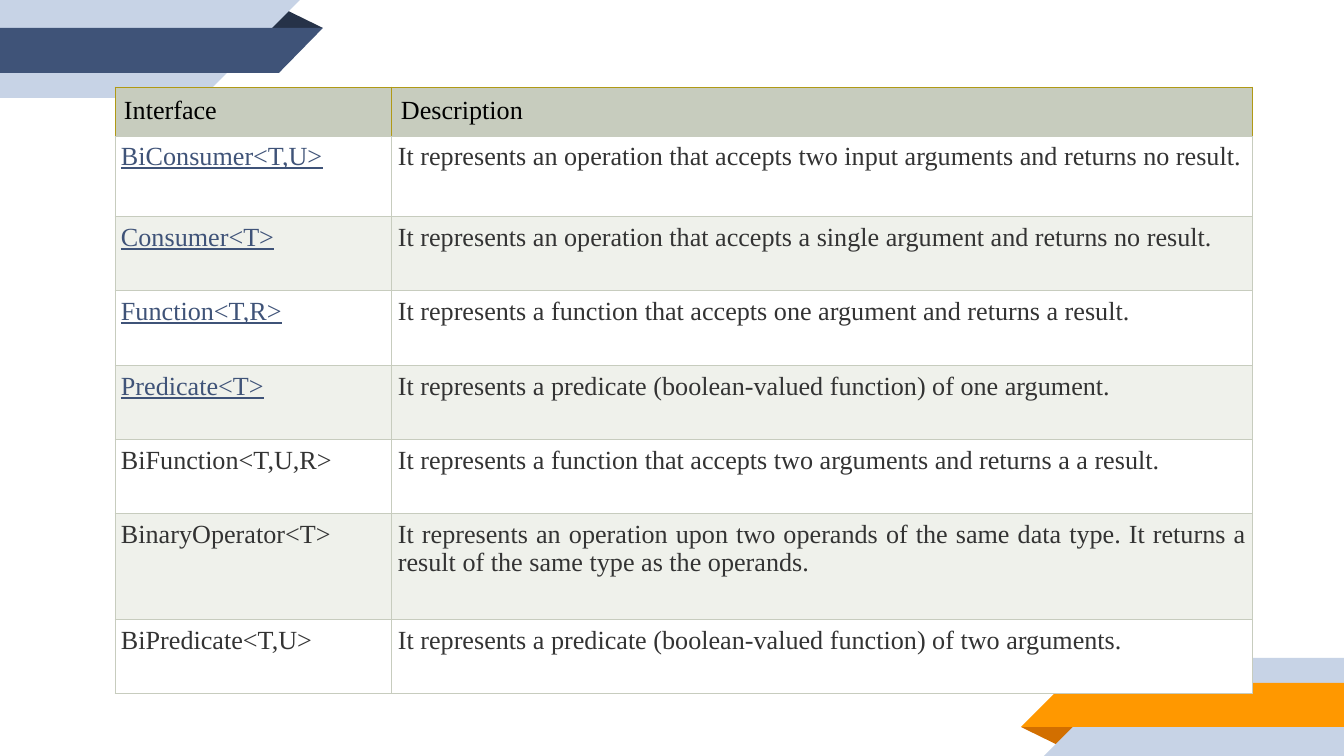
from lxml.etree import SubElement as Sub
from pptx import Presentation
from pptx.dml.color import RGBColor as RGB
from pptx.enum.shapes import MSO_SHAPE as Kind
from pptx.enum.text import PP_ALIGN as Align
from pptx.oxml.ns import qn
from pptx.util import Pt

PX = 914400 / 134.4
HUE = {
    "navy": "3F5378", "dark": "263248", "pale": "C7D3E6",
    "orange": "FF9800", "rust": "D26F00", "gold": "B09915",
    "sage": "C7CCBE", "tint": "EFF1EB", "white": "FFFFFF",
    "black": "000000", "gray": "333333",
}


def px(*nums):
    return [round(n * PX) for n in nums]


def edge(cell, side, hue):
    line = Sub(cell._tc.get_or_add_tcPr(), qn("a:ln" + side), w=str(Pt(0.6)))
    fill = Sub(line, qn("a:solidFill"))
    Sub(fill, qn("a:srgbClr"), val=HUE[hue])


deck = Presentation()
deck.slide_width, deck.slide_height = px(1344, 756)
slide = deck.slides.add_slide(deck.slide_layouts[6])

TRI, RECT, WEDGE = Kind.ISOSCELES_TRIANGLE, Kind.RECTANGLE, Kind.RIGHT_TRIANGLE
bands = [
    (TRI, 266, 9, 57, 19, "dark", None),
    (RECT, 0, 0, 202, 98, "pale", None),
    (WEDGE, 202, 0, 98, 98, "pale", "flipV"),
    (RECT, 0, 28, 279, 45, "navy", None),
    (WEDGE, 279, 28, 44, 45, "navy", "flipV"),
    (TRI, 1021, 727, 57, 19, "rust", "rot"),
    (RECT, 1142, 658, 202, 98, "pale", None),
    (WEDGE, 1044, 658, 98, 98, "pale", "flipH"),
    (RECT, 1065, 683, 279, 44, "orange", None),
    (WEDGE, 1021, 683, 44, 44, "orange", "flipH"),
]
for kind, x, y, w, h, hue, turn in bands:
    band = slide.shapes.add_shape(kind, *px(x, y, w, h))
    band.shadow.inherit = False
    band.fill.solid()
    band.fill.fore_color.rgb = RGB.from_string(HUE[hue])
    band.line.fill.background()
    if kind == TRI:
        band.adjustments[0] = 0.32
    if turn == "rot":
        band.rotation = 180
    elif turn:
        band._element.spPr.xfrm.set(turn, "1")

rows = [
    ("Interface", "Description", 49),
    ("BiConsumer<T,U>", "It represents an operation that accepts two input arguments and returns no result.", 81),
    ("Consumer<T>", "It represents an operation that accepts a single argument and returns no result.", 74),
    ("Function<T,R>", "It represents a function that accepts one argument and returns a result.", 75),
    ("Predicate<T>", "It represents a predicate (boolean-valued function) of one argument.", 74),
    ("BiFunction<T,U,R>", "It represents a function that accepts two arguments and returns a a result.", 74),
    ("BinaryOperator<T>", "It represents an operation upon two operands of the same data type. "
     "It returns a result of the same type as the operands.", 106),
    ("BiPredicate<T,U>", "It represents a predicate (boolean-valued function) of two arguments.", 74),
]
high = sum(row[2] for row in rows)
table = slide.shapes.add_table(len(rows), 2, *px(115, 87, 1138, high)).table
for col, wide in zip(table.columns, px(277, 861)):
    col.width = wide

for r, (name, text, tall) in enumerate(rows):
    table.rows[r].height = px(tall)[0]
    head = r == 0
    for c, words in enumerate((name, text)):
        cell = table.cell(r, c)
        for side in "LRTB":
            gold = head and side != "B"
            edge(cell, side, "gold" if gold else "sage")
        cell.fill.solid()
        back = "sage" if head else "white" if r % 2 else "tint"
        cell.fill.fore_color.rgb = RGB.from_string(HUE[back])
        gap = px(9 if head else 6)[0]
        cell.margin_left = cell.margin_right = gap
        cell.margin_top = cell.margin_bottom = gap
        cell.text = words
        para = cell.text_frame.paragraphs[0]
        para.alignment = Align.LEFT if head else Align.JUSTIFY
        link = c == 0 and 1 <= r <= 4
        font = para.font
        font.name, font.size, font.bold = "Times New Roman", Pt(14), False
        font.underline = link
        ink = "black" if head else "navy" if link else "gray"
        font.color.rgb = RGB.from_string(HUE[ink])

deck.save("out.pptx")
